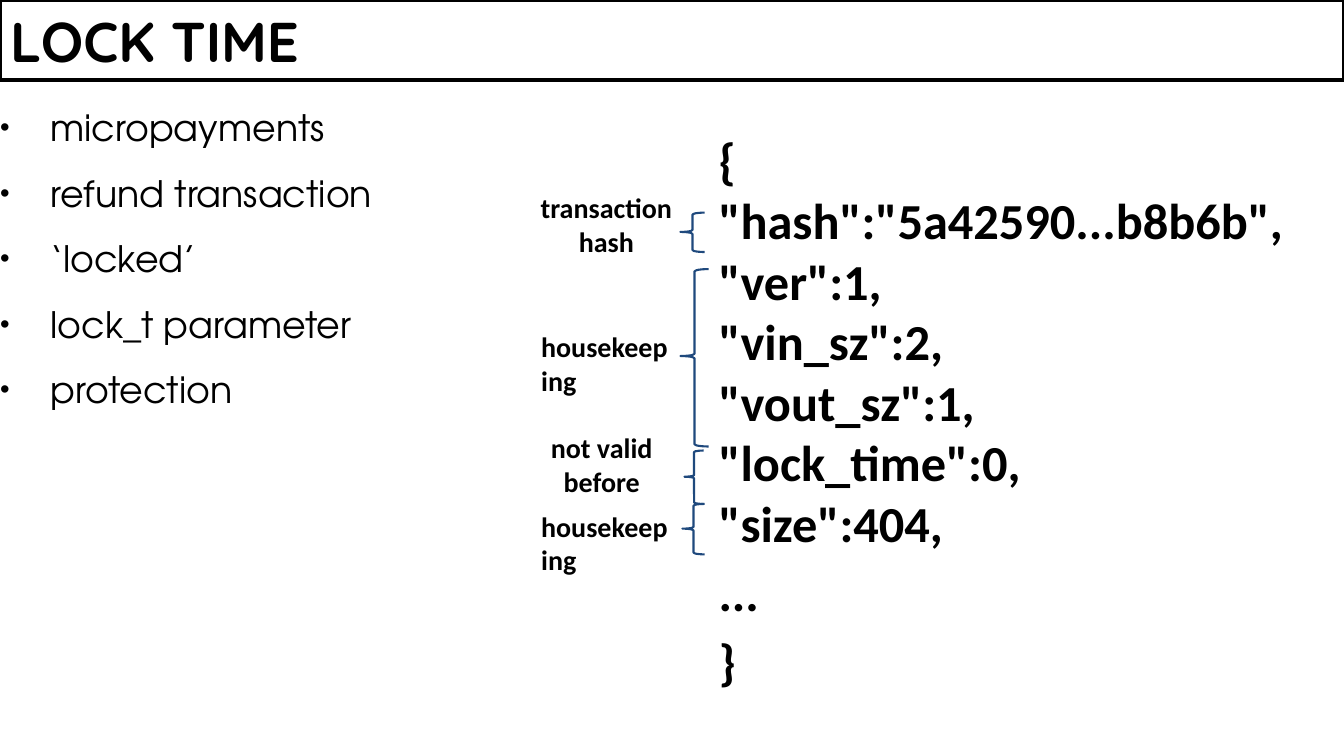
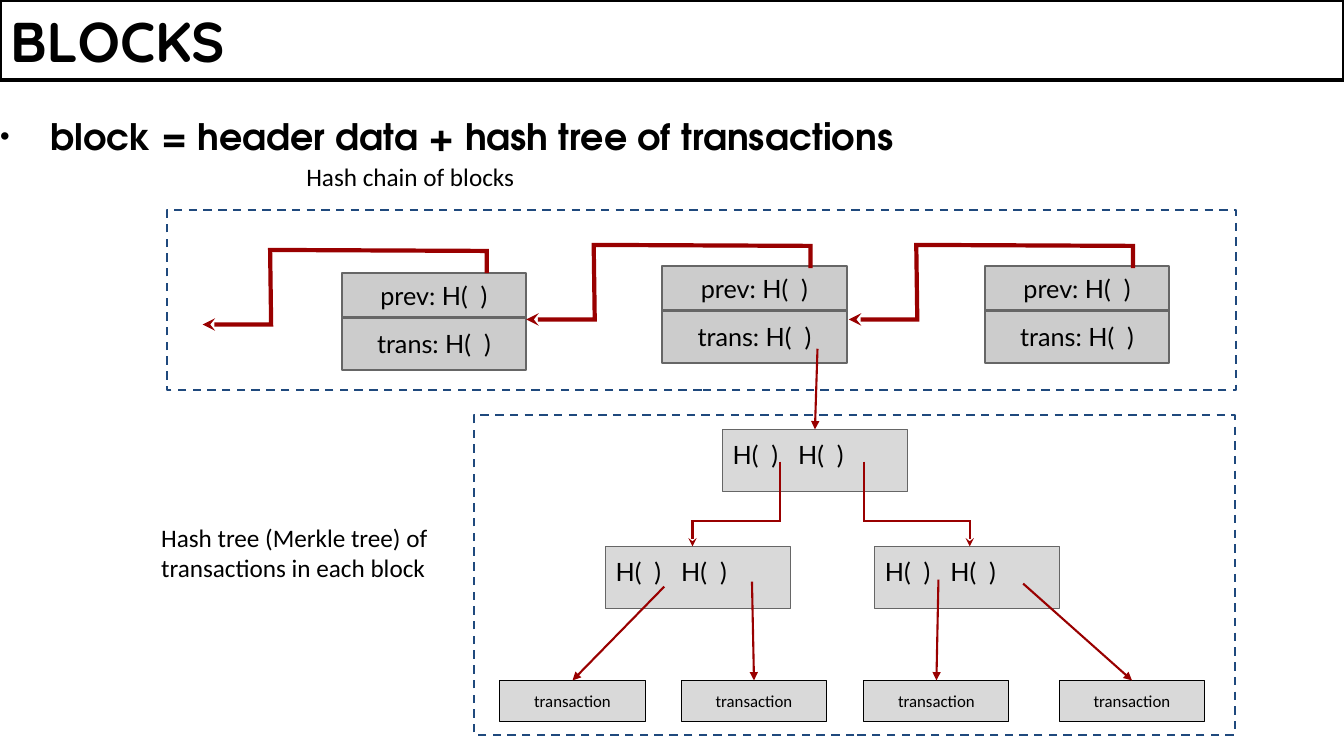
from dataclasses import dataclass
from typing import NamedTuple

from lxml import etree
from pptx import Presentation
from pptx.dml.color import RGBColor
from pptx.enum.dml import MSO_LINE
from pptx.enum.shapes import MSO_CONNECTOR, MSO_SHAPE
from pptx.enum.text import MSO_ANCHOR, MSO_AUTO_SIZE, PP_ALIGN
from pptx.oxml.ns import qn
from pptx.util import Inches, Pt

RECT, BRACE = MSO_SHAPE.RECTANGLE, MSO_SHAPE.LEFT_BRACE
STRAIGHT, DASH = MSO_CONNECTOR.STRAIGHT, MSO_LINE.DASH
LEFT, CENTER = PP_ALIGN.LEFT, PP_ALIGN.CENTER
TOP, MIDDLE = MSO_ANCHOR.TOP, MSO_ANCHOR.MIDDLE
FIXED = MSO_AUTO_SIZE.NONE
CELL = Inches(0.1)


class Style(NamedTuple):
    """Hold a font, its size and its weight."""
    font: str
    size: float
    bold: bool = False


@dataclass(frozen=True)
class Theme:
    """Keep the colours and type styles of the deck."""
    ink: str = "000000"
    navy: str = "1F497D"
    red: str = "990000"
    edge: str = "666666"
    gray: str = "CCCCCC"
    pale: str = "D9D9D9"
    title: Style = Style("Quicksand", 40, True)
    list: Style = Style("TeX Gyre Adventor", 26)
    lead: Style = Style("TeX Gyre Adventor", 26, True)
    code: Style = Style("Calibri", 36, True)
    label: Style = Style("Calibri", 20, True)
    note: Style = Style("Calibri", 18)
    node: Style = Style("Lato", 18)
    leaf: Style = Style("Calibri", 12)


class Box(NamedTuple):
    """Describe an area in grid cells."""
    x: float
    y: float
    w: float
    h: float

    def sub(self, x, y, w, h):
        """Give an area placed relative to this one."""
        return Box(self.x + x, self.y + y, w, h)

    def point(self, x, y):
        """Give a point of this area in slide units."""
        return round((self.x + x) * CELL), round((self.y + y) * CELL)

    def place(self):
        """Give left, top, width and height in slide units."""
        return [round(n * CELL) for n in self]


THEME = Theme()
PAGE = Box(0, 0, 133.33, 75)
BAND = Box(0, 0, 133.33, 7.9)


def add(parent, tag, **attrs):
    """Append a drawing element."""
    return etree.SubElement(parent, qn(tag), attrs)


def prefix(para, tag, **attrs):
    """Put a paragraph property ahead of its font."""
    font = para._p.pPr.find(qn("a:defRPr"))
    item = etree.Element(qn(tag), attrs)
    font.addprevious(item)
    return item


def write(shape, lines, style, align=LEFT, anchor=TOP, pad=(1, 1)):
    """Fill a shape with paragraphs in one style."""
    frame = shape.text_frame
    frame.word_wrap, frame.auto_size = True, FIXED
    frame.vertical_anchor = anchor
    frame.margin_left = frame.margin_right = round(pad[0] * CELL)
    frame.margin_top = frame.margin_bottom = round(pad[1] * CELL)
    for i, line in enumerate(lines):
        para = frame.add_paragraph() if i else frame.paragraphs[0]
        para.text, para.alignment = line, align
        font = para.font
        font.name, font.size, font.bold = style.font, Pt(style.size), style.bold
        font.color.rgb = RGBColor.from_string(THEME.ink)
    return frame.paragraphs


def stroke(shape, color, width):
    """Set the outline of a shape or connector."""
    shape.line.color.rgb = RGBColor.from_string(color)
    shape.line.width = Pt(width)


def tip(shape, kind):
    """End a line with an arrowhead."""
    line = shape.element.spPr.find(qn("a:ln"))
    add(line, "a:miter", lim="800000")
    add(line, "a:tailEnd", type=kind)


def form(slide, box, color, width, fill=None, kind=RECT):
    """Draw a preset shape."""
    shape = slide.shapes.add_shape(kind, *box.place())
    shape.shadow.inherit = False
    stroke(shape, color, width)
    if fill:
        shape.fill.solid()
        shape.fill.fore_color.rgb = RGBColor.from_string(fill)
    else:
        shape.fill.background()
    return shape


def text(slide, box, lines, style, align=LEFT):
    """Add a text box."""
    return write(slide.shapes.add_textbox(*box.place()), lines, style, align)


def bend(slide, box, points, width):
    """Draw a bent arrow through points of a box."""
    first, *rest = [box.point(*p) for p in points]
    build = slide.shapes.build_freeform(*first, scale=1.0)
    build.add_line_segments(rest, close=False)
    shape = build.convert_to_shape()
    shape.shadow.inherit = False
    shape.fill.background()
    stroke(shape, THEME.red, width)
    tip(shape, "stealth")


def arrow(slide, start, goal):
    """Draw an arrow from a point to the top of a shape."""
    end = goal.left + goal.width // 2, goal.top
    line = slide.shapes.add_connector(STRAIGHT, *start, *end)
    line.end_connect(goal, 0)
    stroke(line, THEME.red, 1.5)
    tip(line, "triangle")
    add(line.element.spPr, "a:effectLst")


def start(deck, title, items, style, box):
    """Add a slide with its title band and bullet list."""
    slide = deck.slides.add_slide(deck.slide_layouts[1])
    head, body = slide.placeholders
    head.left, head.top, head.width, head.height = BAND.place()
    stroke(head, THEME.ink, 3)
    write(head, [title], THEME.title, anchor=MIDDLE, pad=(1, 0.5))
    body.left, body.top, body.width, body.height = box.place()
    for para in write(body, items, style, pad=(0, 0)):
        para.line_spacing, para.space_before = 1.5, Pt(0)
        inset = 5 * CELL
        para._p.pPr.set("marL", str(inset))
        para._p.pPr.set("indent", str(-inset))
        prefix(para, "a:buSzPct", val="75000")
        prefix(para, "a:buFont", typeface="Arial")
        prefix(para, "a:buChar", char="•")
    return slide


def record(slide, box):
    """Show the transaction record with braces and labels."""
    code = ('{\n"hash":"5a42590...b8b6b",\n"ver":1,\n"vin_sz":2,\n'
            '"vout_sz":1,\n"lock_time":0,\n"size":404,')
    for para in text(slide, box.sub(18.4, 0, 60.6, 59), [code, "...", "}"], THEME.code):
        para.space_before = Pt(6)
    parts = [
        ("transaction hash", CENTER, (0.5, 6.1, 15.5, 8.8), (15.6, 9.3, 2.4, 3.9)),
        ("housekeeping", LEFT, (0.8, 19.9, 14.8, 4.6), (15.6, 14.9, 2.8, 17.6)),
        ("not valid before", CENTER, (0, 29.9, 15.6, 9.2), (16, 32.9, 1.9, 5.3)),
        ("housekeeping", LEFT, (0.8, 37.7, 14.8, 4.6), (15.8, 38.2, 2.2, 5)),
    ]
    for label, align, area, span in parts:
        text(slide, box.sub(*area), [label], THEME.label, align)
        brace = form(slide, box.sub(*span), THEME.navy, 1.5, kind=BRACE)
        brace.adjustments[0], brace.adjustments[1] = 0.08, 0.49


def frame(slide, box):
    """Draw a dashed border around a region."""
    form(slide, box, THEME.navy, 1.5).line.dash_style = DASH


def chain(slide, box):
    """Draw the chain of blocks and their back links."""
    frame(slide, box)
    blocks = [(17.3, 6.3), (49.1, 5.6), (81.1, 5.6)]
    hooks = [(31.7, 6.3), (63.8, 5.8), (95.8, 5.8)]
    route = [(0, 0), (0, -2.2), (-21.5, -2.3), (-21.4, 5.1), (-28.2, 5.1)]
    for (x, y), (left, top) in zip(blocks, hooks):
        for label, drop, high in [("trans: H(  )", 4.4, 5.2), ("prev: H(  )", 0, 4.4)]:
            cell = form(slide, box.sub(x, y + drop, 18.3, high), THEME.edge, 1.5, THEME.gray)
            write(cell, [label], THEME.node, CENTER, MIDDLE)
        bend(slide, box.sub(left, top, 0, 0), route, 3)


def tree(slide, box):
    """Draw the hash tree and give back its root."""
    frame(slide, box)
    nodes = []
    for x, y in [(24.7, 1.4), (13.1, 13), (39.8, 13)]:
        node = form(slide, box.sub(x, y, 18.3, 6.2), THEME.edge, 0.75, THEME.pale)
        para = write(node, ["H(  )\tH(  )"], THEME.node)[0]
        tabs = prefix(para, "a:tabLst")
        add(tabs, "a:tab", pos=str(round(6.5 * CELL)), algn="l")
        nodes.append(node)
    for x, goal in [(30.4, 21.7), (38.7, 49.2)]:
        bend(slide, box, [(x, 4.6), (x, 10.5), (goal, 10.5), (goal, 13)], 1.5)
    tails = [(18.9, 17), (27.6, 16.5), (46.1, 16.3), (54.5, 16.7)]
    for x, tail in zip([2.6, 20.6, 38.7, 58.1], tails):
        leaf = form(slide, box.sub(x, 26.3, 14.4, 4.1), THEME.ink, 0.75, THEME.pale)
        write(leaf, ["transaction"], THEME.leaf, CENTER)
        arrow(slide, box.point(*tail), leaf)
    return nodes[0]


def lock(deck):
    """Build the lock time slide."""
    items = ["micropayments", "refund transaction", "‘locked’",
             "lock_t parameter", "protection"]
    slide = start(deck, "LOCK TIME", items, THEME.list, PAGE.sub(0, 8.3, 116.7, 32.8))
    record(slide, PAGE.sub(51.9, 11.8, 79, 59))


def blocks(deck):
    """Build the blocks slide."""
    items = ["block = header data + hash tree of transactions"]
    slide = start(deck, "BLOCKS", items, THEME.lead, PAGE.sub(0, 9.2, 116.7, 5.7))
    chain(slide, PAGE.sub(16.6, 20.8, 106, 17.9))
    root = tree(slide, PAGE.sub(47, 41.2, 75.5, 31.7))
    arrow(slide, PAGE.point(81.1, 34.6), root)
    text(slide, PAGE.sub(29.4, 15, 30.7, 4.8), ["Hash chain of blocks"], THEME.note)
    text(slide, PAGE.sub(15, 50.8, 32, 4.8),
         ["Hash tree (Merkle tree) of transactions in each block"], THEME.note)


def main():
    """Build and save the deck."""
    deck = Presentation()
    deck.slide_width, deck.slide_height = PAGE.place()[2:]
    lock(deck)
    blocks(deck)
    deck.save("out.pptx")


if __name__ == "__main__":
    main()
